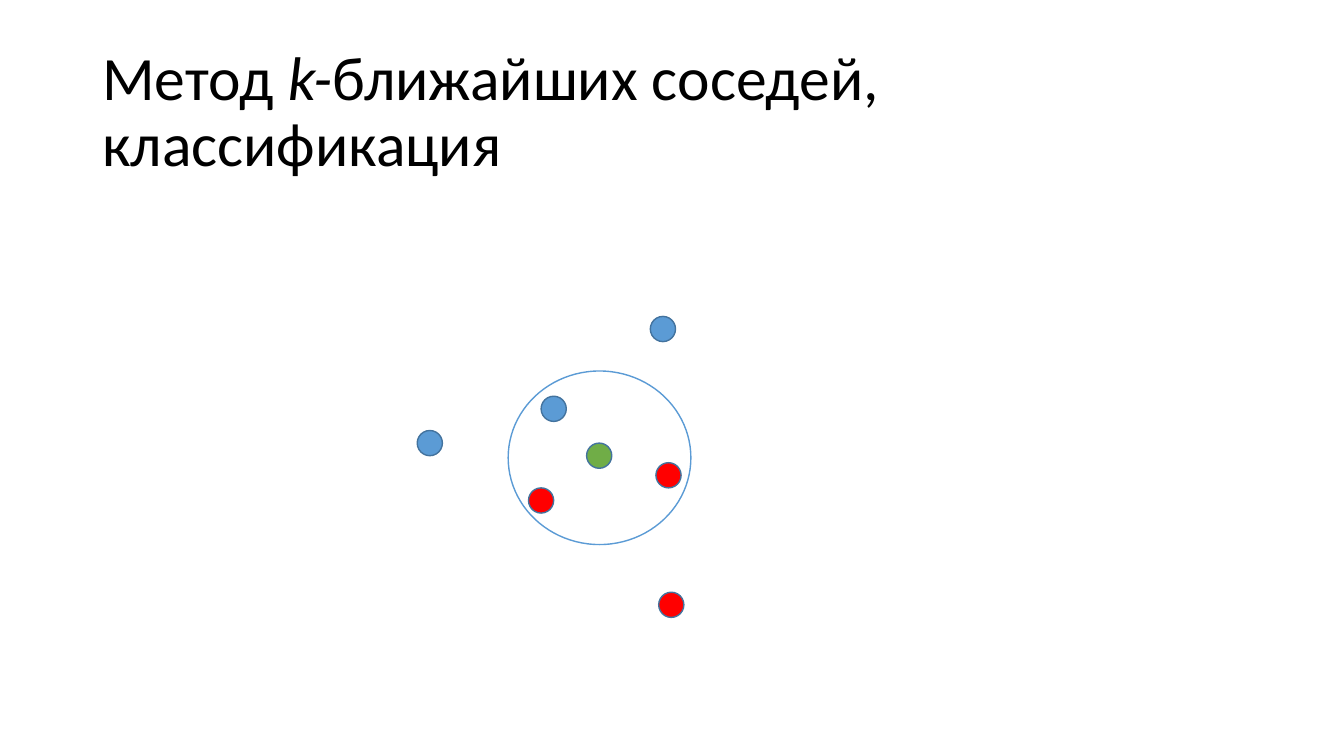
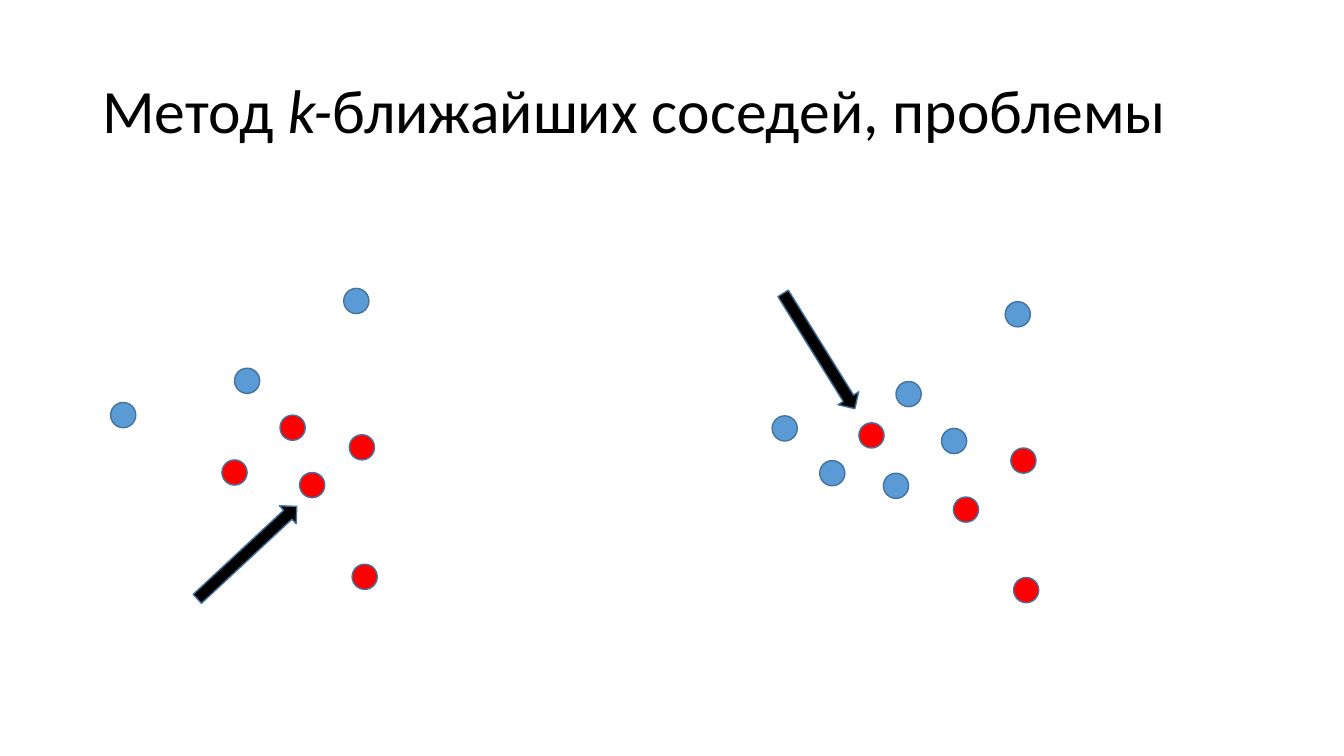
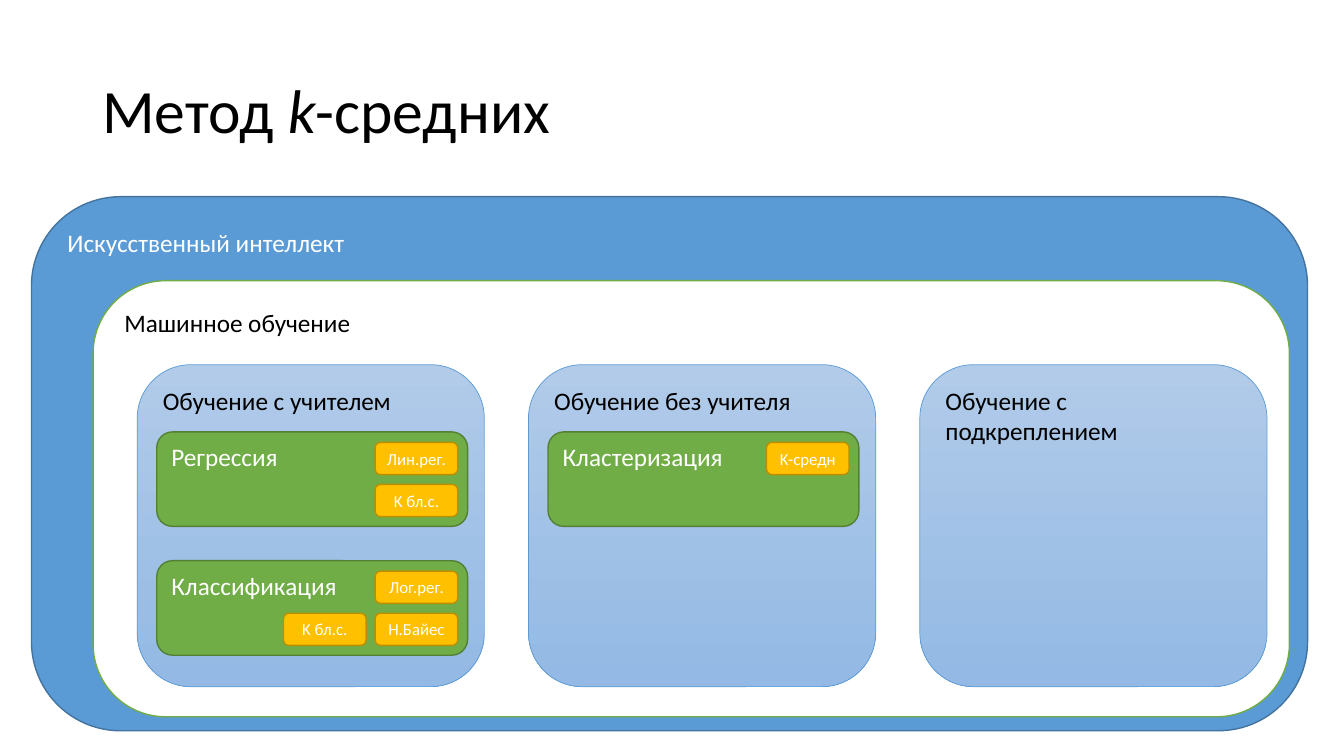
"""Build three slides on nearest neighbours and k-means."""
from pptx import Presentation
from pptx.dml.color import RGBColor as Rgb
from pptx.enum.shapes import MSO_SHAPE as Kind
from pptx.enum.text import MSO_ANCHOR as Anchor, PP_ALIGN as Align
from pptx.util import Pt

HUES = {
    "blue": "5B9BD5", "navy": "43739E", "red": "FF0000",
    "green": "70AD47", "moss": "538035", "gold": "FFC000",
    "bronze": "BD8E00", "white": "FFFFFF", "black": "000000",
    "sky": "B1CBE9", "haze": "93B9E4",
}
FONT = "Calibri"

TITLES = [
    ("Метод ", "k-", "ближайших соседей, классификация"),
    ("Метод ", "k-", "ближайших соседей, проблемы"),
    ("Метод ", "k", "-средних"),
]

DOT = 18
SPOTS = [(88.5, 57), (79.5, 122.5), (172.5, 197), (0, 81.5),
         (166.5, 0), (170.5, 104.5), (121, 90.5)]
KEYS = {"b": "blue", "r": "red", "g": "green"}
RING = (363, 265, 130.5, 124)
SINGLE = ((298, 226), "brrbbrg", [])
PAIR = [
    ((79, 206), "brrbbrr", [(135, 131.5, "r")]),
    ((551.5, 215.5), "bbrbbrb",
     [(129.5, 139.5, "r"), (62, 86.5, "r"), (34, 113.5, "b")]),
]
ARROWS = [(128, 386, 317.1), (536.5, 242, 58.1)]
ARROW = (97, 17.5)

FRAMES = [
    ("Искусственный интеллект", (22.5, 140.5, 911.5, 381.5),
     "blue", "navy", "white"),
    ("Машинное обучение", (66.5, 200.5, 854.5, 311.5),
     "white", "green", "black"),
]
FIELDS = [
    ("Обучение с учителем", [
        ("Регрессия", [("Лин.рег.", 0, 0), ("K бл.с.", 1, 0)]),
        ("Классификация", [("Лог.рег.", 0, 0), ("Н.Байес", 1, 0),
                           ("K бл.с.", 1, 1)]),
    ]),
    ("Обучение без учителя", [("Кластеризация", [("K-средн", 0, 0)])]),
    ("Обучение с подкреплением", []),
]
FIELD = (98, 260.5, 248, 230)
TASK = (14, 48, 222, 67.5)
CHIP = (156, 7.5, 59, 23)
STEP = {"field": 279.5, "task": 92, "row": 30, "col": 65.5}


def hue(name):
    return Rgb.from_string(HUES[name])


def write(frame, parts, size=18, color="black", align=Align.LEFT,
          anchor=Anchor.TOP, space=None):
    """Write runs that alternate between upright and italic."""
    frame.word_wrap = True
    frame.vertical_anchor = anchor
    para = frame.paragraphs[0]
    para.alignment = align
    para.line_spacing = space
    for i, part in enumerate(parts):
        run = para.add_run()
        run.text = part
        font = run.font
        font.name, font.size, font.italic = FONT, Pt(size), i % 2 == 1
        font.color.rgb = hue(color)


def draw(slide, kind, box, fill, line, width=1):
    """Add a shape with a plain, graded or empty fill."""
    shape = slide.shapes.add_shape(kind, *map(Pt, box))
    shape.shadow.inherit = False
    if fill is None:
        shape.fill.background()
    elif isinstance(fill, tuple):
        shape.fill.gradient()
        shape.fill.gradient_angle = 270
        for stop, name in zip(shape.fill.gradient_stops, fill):
            stop.color.rgb = hue(name)
    else:
        shape.fill.solid()
        shape.fill.fore_color.rgb = hue(fill)
    shape.line.color.rgb = hue(line)
    shape.line.width = Pt(width)
    return shape


def panel(slide, text, box, fill, line, width=1, **form):
    shape = draw(slide, Kind.ROUNDED_RECTANGLE, box, fill, line, width)
    write(shape.text_frame, [text], **form)


def cloud(slide, start, code, extra):
    """Scatter the shared pattern of dots, then the extra ones."""
    dots = [(x, y, key) for (x, y), key in zip(SPOTS, code)]
    for x, y, key in dots + extra:
        box = (start[0] + x, start[1] + y, DOT, DOT)
        draw(slide, Kind.OVAL, box, KEYS[key], "navy")


def begin(deck, title):
    slide = deck.slides.add_slide(deck.slide_layouts[6])
    box = slide.shapes.add_textbox(Pt(66), Pt(28.75), Pt(828), Pt(104.5))
    write(box.text_frame, title, size=44, anchor=Anchor.MIDDLE, space=0.9)
    return slide


def main():
    deck = Presentation()
    deck.slide_width, deck.slide_height = Pt(960), Pt(540)
    near, flaws, means = [begin(deck, title) for title in TITLES]

    cloud(near, *SINGLE)
    draw(near, Kind.OVAL, RING, None, "blue")

    for group in PAIR:
        cloud(flaws, *group)
    for x, y, turn in ARROWS:
        arrow = draw(flaws, Kind.RIGHT_ARROW, (x, y, *ARROW), "black", "navy")
        arrow.rotation = turn

    for text, box, fill, line, color in FRAMES:
        panel(means, text, box, fill, line, color=color)
    left, top, *size = FIELD
    for i, (field, tasks) in enumerate(FIELDS):
        x = left + i * STEP["field"]
        panel(means, field, (x, top, *size), ("sky", "haze"), "blue", 0.5)
        for j, (task, chips) in enumerate(tasks):
            tx, ty = x + TASK[0], top + TASK[1] + j * STEP["task"]
            panel(means, task, (tx, ty, *TASK[2:]), "green", "moss",
                  color="white")
            for chip, row, col in chips:
                spot = (tx + CHIP[0] - col * STEP["col"],
                        ty + CHIP[1] + row * STEP["row"], *CHIP[2:])
                panel(means, chip, spot, "gold", "bronze", size=12,
                      color="white", align=Align.CENTER, anchor=Anchor.MIDDLE)

    deck.save("out.pptx")


main()
